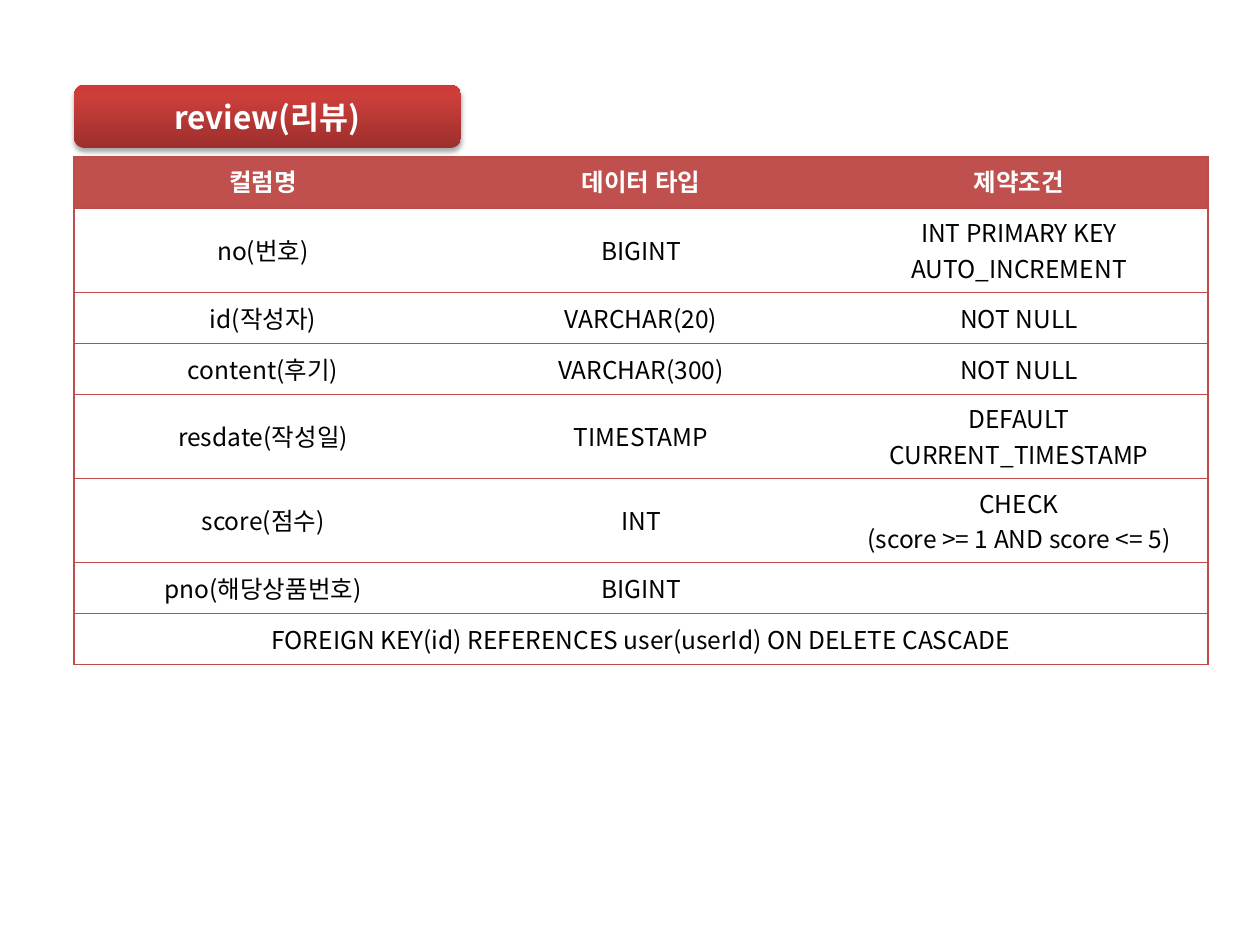
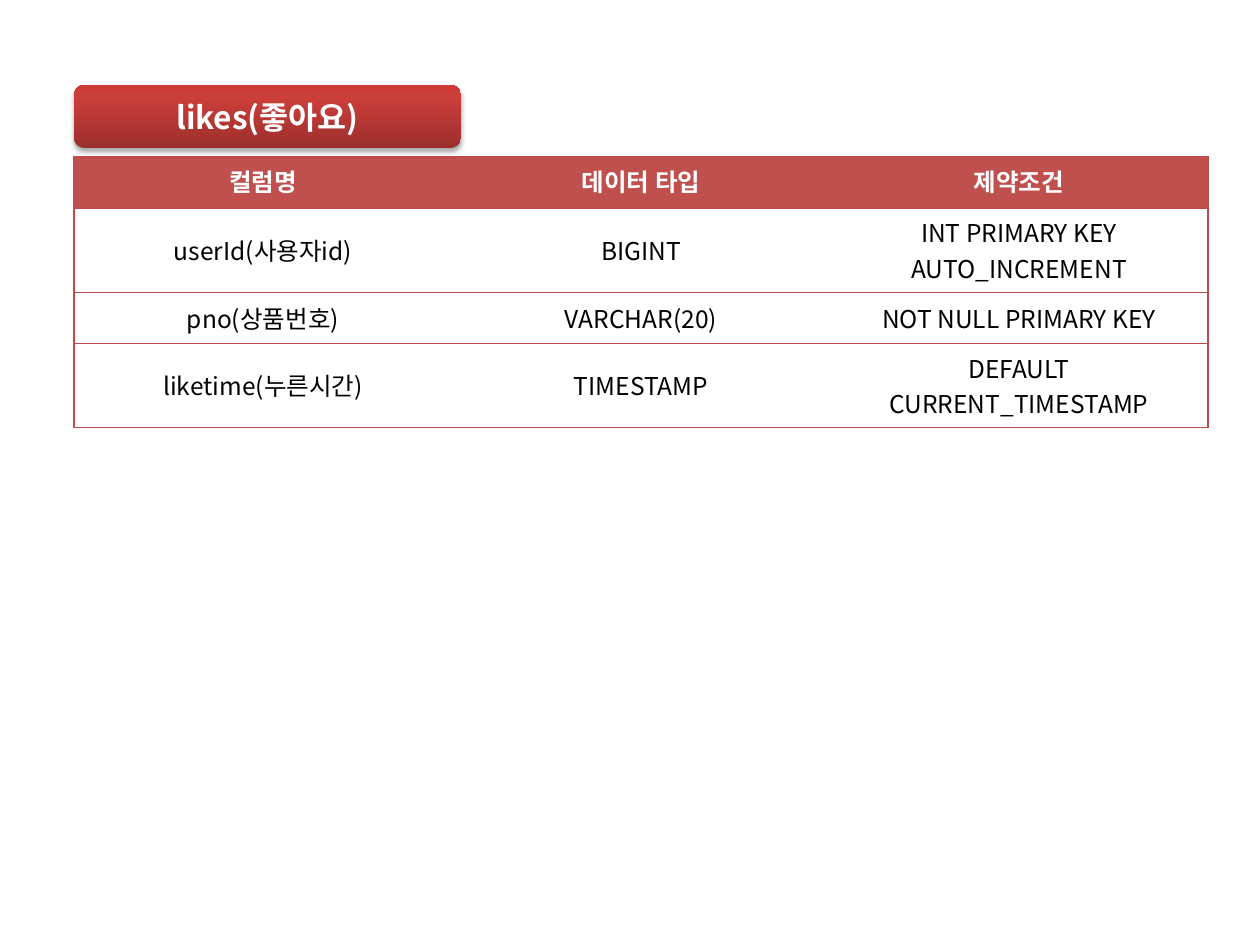
from pptx import Presentation, util as u
from pptx.dml.color import RGBColor
from pptx.enum import shapes, text
from pptx.oxml import parse_xml
from pptx.oxml.ns import nsdecls, qn
from lxml import etree

SCALE = 914400 / 126  # EMU per pixel
FONT = "Noto Sans CJK KR"
COL = {"head": "C0504D", "rule": "BF4C48", "white": "FFFFFF", "ink": "000000",
       "dark": "9C2F2D", "mid": "CB3E3A", "light": "CE3B37"}
LEFT, WIDTH = 74, 1134
ROW, TALL = 51, 72
HEADS = ["컬럼명", "데이터 타입", "제약조건"]
STAMP = "DEFAULT CURRENT_TIMESTAMP"
SERIAL = "INT PRIMARY KEY\nAUTO_INCREMENT"


def px(n):
    return u.Emu(round(n * SCALE))


def write(frame, words, size=14, color="ink", bold=False):
    """Put centred text in a frame, one paragraph a line."""
    frame.word_wrap = True
    for i, line in enumerate(words.split("\n")):
        par = frame.paragraphs[0] if i == 0 else frame.add_paragraph()
        par.alignment = text.PP_ALIGN.CENTER
        if not line:  # an empty cell keeps the row's text size
            etree.SubElement(par._p, qn("a:endParaRPr"), sz=str(size * 100))
            continue
        run = par.add_run()
        run.text = line
        font = run.font
        font.name, font.size, font.bold = FONT, u.Pt(size), bold
        font.color.rgb = RGBColor.from_string(COL[color])
        etree.SubElement(run._r.get_or_add_rPr(), qn("a:ea"), typeface=FONT)


class Deck:
    def __init__(self):
        self.prs = Presentation()
        self.prs.slide_width, self.prs.slide_height = u.Inches(10), u.Inches(7.5)

    def page(self):
        self.slide = self.prs.slides.add_slide(self.prs.slide_layouts[6])

    def title(self, words):
        """Glossy red button with a soft shadow."""
        box = self.slide.shapes.add_shape(
            shapes.MSO_SHAPE.ROUNDED_RECTANGLE, px(LEFT), px(85), px(387), px(63))
        stops = "".join(
            f'<a:gs pos="{pos}000"><a:srgbClr val="{COL[key]}"/></a:gs>'
            for pos, key in [(0, "dark"), (80, "mid"), (100, "light")])
        box.line.fill.background()
        props = box._element.spPr
        props.find(qn("a:prstGeom")).addnext(parse_xml(
            f'<a:gradFill {nsdecls("a")} rotWithShape="1"><a:gsLst>{stops}</a:gsLst>'
            '<a:lin ang="16200000" scaled="0"/></a:gradFill>'))
        props.append(parse_xml(
            f'<a:effectLst {nsdecls("a")}><a:outerShdw blurRad="{u.Pt(3.1)}" '
            f'dist="{u.Pt(1.8)}" dir="5400000" rotWithShape="0"><a:srgbClr '
            f'val="{COL["ink"]}"><a:alpha val="35000"/></a:srgbClr></a:outerShdw>'
            '</a:effectLst>'))
        box.text_frame.vertical_anchor = text.MSO_ANCHOR.MIDDLE
        write(box.text_frame, words, 18, "white", True)

    def edge(self, cell, sides):
        """Rule the given sides of a cell and clear the others."""
        props = cell._tc.get_or_add_tcPr()
        for side in "LRTB":
            line = etree.SubElement(props, qn("a:ln" + side), w=str(u.Pt(0.75)))
            if side in sides:
                fill = etree.SubElement(line, qn("a:solidFill"))
                etree.SubElement(fill, qn("a:srgbClr"), val=COL["rule"])
            else:
                etree.SubElement(line, qn("a:noFill"))

    def table(self, rows, note=None):
        """Column listing; a note fills one merged last row."""
        rows = [HEADS] + rows + ([[note, "", ""]] if note else [])
        highs = [TALL if any("\n" in c or c == STAMP for c in row) else ROW
                 for row in rows]
        grid = self.slide.shapes.add_table(
            len(rows), 3, px(LEFT), px(157), px(WIDTH), px(sum(highs))).table
        grid.horz_banding = False
        for r, row in enumerate(rows):
            grid.rows[r].height = px(highs[r])
            head, last = r == 0, bool(note) and r == len(rows) - 1
            for c, words in enumerate(row):
                cell = grid.cell(r, c)
                self.edge(cell, "LRTB" if last else "TB" + ["L", "", "R"][c])
                if head:
                    cell.fill.solid()
                    cell.fill.fore_color.rgb = RGBColor.from_string(COL["head"])
                    write(cell.text_frame, words, color="white", bold=True)
                else:
                    cell.fill.background()
                    cell.vertical_anchor = text.MSO_ANCHOR.MIDDLE
                    write(cell.text_frame, words)
        if note:
            end = len(rows) - 1
            grid.cell(end, 0).merge(grid.cell(end, 2))


deck = Deck()

# Review table
deck.page()
deck.table([
    ["no(번호)", "BIGINT", SERIAL],
    ["id(작성자)", "VARCHAR(20)", "NOT NULL"],
    ["content(후기)", "VARCHAR(300)", "NOT NULL"],
    ["resdate(작성일)", "TIMESTAMP", STAMP],
    ["score(점수)", "INT", "CHECK\n(score >= 1 AND score <= 5)"],
    ["pno(해당상품번호)", "BIGINT", ""],
], note="FOREIGN KEY(id) REFERENCES user(userId) ON DELETE CASCADE")
deck.title("review(리뷰)")

# Likes table
deck.page()
deck.table([
    ["userId(사용자id)", "BIGINT", SERIAL],
    ["pno(상품번호)", "VARCHAR(20)", "NOT NULL PRIMARY KEY"],
    ["liketime(누른시간)", "TIMESTAMP", STAMP],
])
deck.title("likes(좋아요)")

deck.prs.save("out.pptx")
